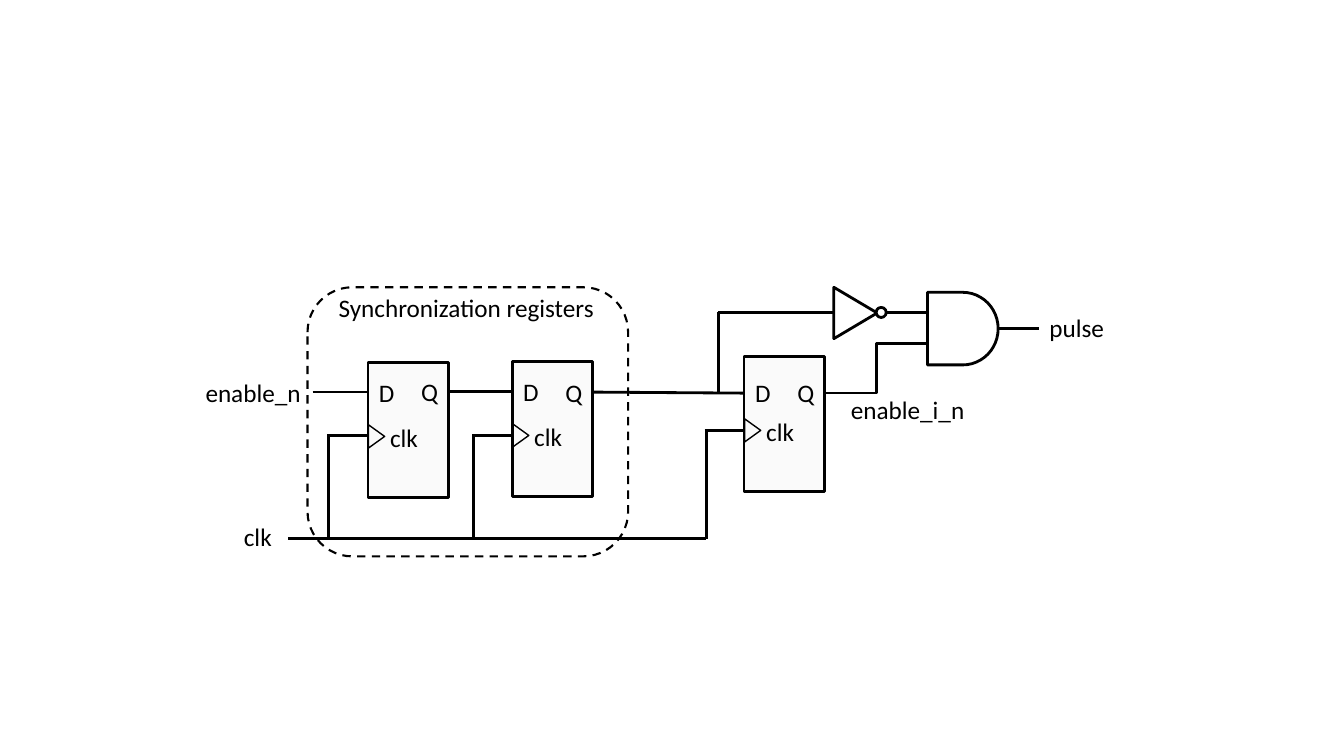
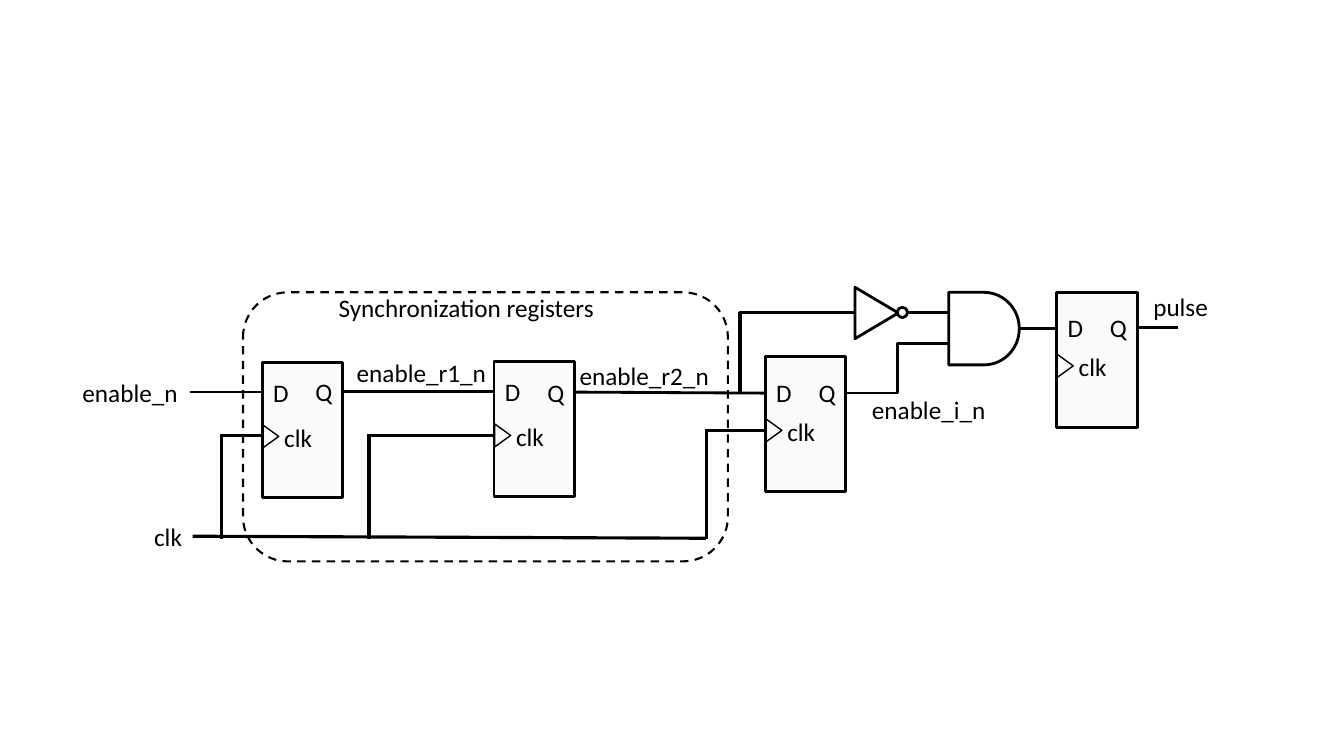
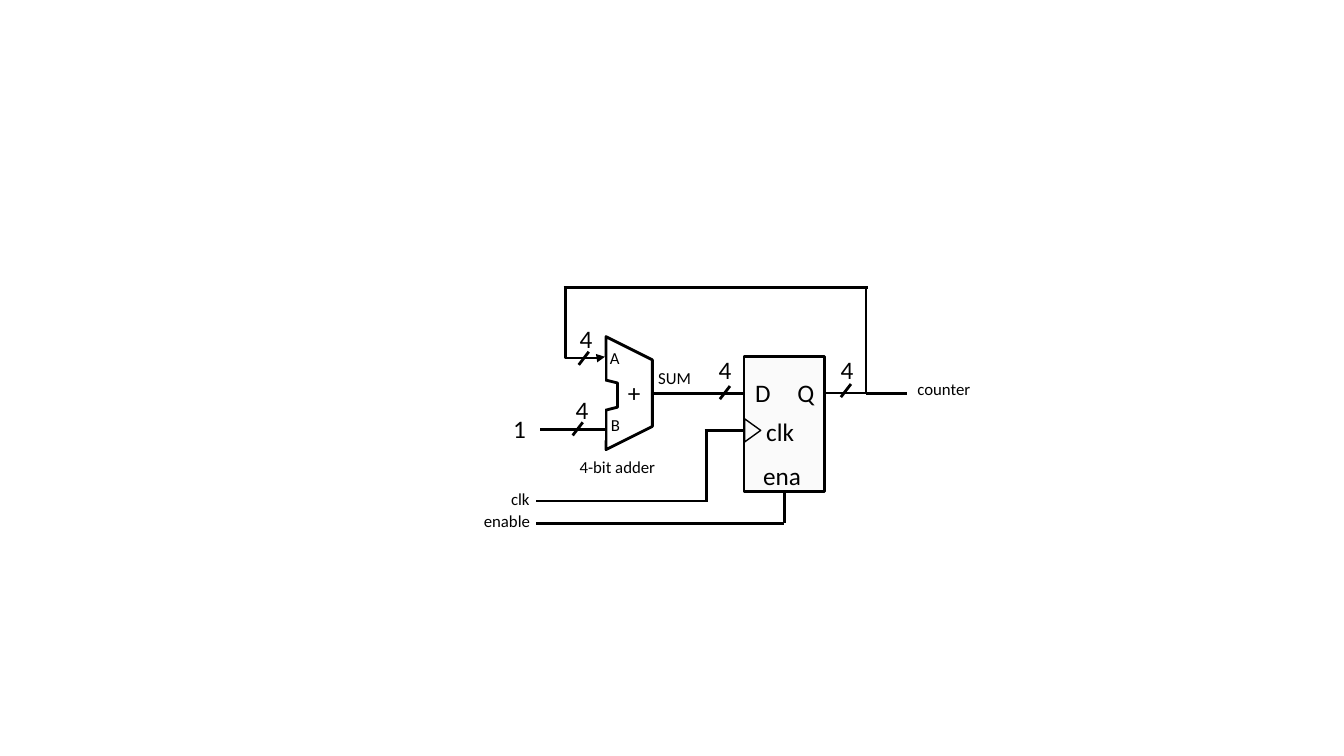
import pptx
import pptx.util
import pptx.dml.color
import pptx.enum.dml
import pptx.enum.shapes
import pptx.enum.text
import lxml.etree

SCALE = 9144
FONT = "Calibri"
INK = "000000"
PAPER = "FFFFFF"
PANEL = "FAFAFA"
REG_W, REG_H = 80, 134
KIND = pptx.enum.shapes.MSO_SHAPE
LINK = pptx.enum.shapes.MSO_CONNECTOR


def px(*vals):
    return [pptx.util.Emu(val * SCALE) for val in vals]


def hue(code):
    return pptx.dml.color.RGBColor.from_string(code)


def child(node, tag, **attrs):
    return lxml.etree.SubElement(node, pptx.oxml.ns.qn(tag), attrs)


def shape(shapes, kind, box, fill=None, width=2, turn=0):
    item = shapes.add_shape(kind, *px(*box))
    item.shadow.inherit = False
    item.rotation = turn
    if fill:
        item.fill.solid()
        item.fill.fore_color.rgb = hue(fill)
    else:
        item.fill.background()
    if width:
        item.line.color.rgb = hue(INK)
        item.line.width = pptx.util.Pt(width)
    else:
        item.line.fill.background()
    return item


def label(slide, x, y, w, text, size=18, wrap=True):
    box = slide.shapes.add_textbox(*px(x, y, w, 40 if size == 18 else 30))
    frame = box.text_frame
    frame.word_wrap = wrap
    frame.auto_size = pptx.enum.text.MSO_AUTO_SIZE.SHAPE_TO_FIT_TEXT
    frame.text = text
    font = frame.paragraphs[0].runs[0].font
    font.name = FONT
    font.size = pptx.util.Pt(size)
    font.color.rgb = hue(INK)


def wire(slide, x1, y1, x2, y2, width=2, kind=LINK.STRAIGHT):
    line = slide.shapes.add_connector(kind, *px(x1, y1, x2, y2))
    line.line.color.rgb = hue(INK)
    line.line.width = pptx.util.Pt(width)
    child(line._element.spPr, "a:effectLst")
    return line


def clocked(slide, x, y, d_drop=15, q_drop=15):
    body = shape(slide.shapes, KIND.RECTANGLE, (x, y, REG_W, REG_H), PANEL)
    label(slide, x + 43, y + q_drop, 37, "Q")
    label(slide, x + 12, y + 54, 48, "clk")
    label(slide, x + 1, y + d_drop, 36, "D")
    shape(slide.shapes, KIND.ISOSCELES_TRIANGLE, (x - 3, y + 65, 23, 16), width=1, turn=90)
    return body


def edge(slide, x, y):
    clocked(slide, x, y)
    wire(slide, x - 25, y - 44, x - 25, y + 35, 2.25)
    wire(slide, x - 26, y - 44, x + 89, y - 44)
    gate = shape(slide.shapes, KIND.FLOWCHART_DELAY, (x + 182, y - 64, 70, 72), PAPER)
    wire(slide, x + REG_W, y + 36, x + 182, y - 13, kind=LINK.ELBOW)
    shape(slide.shapes, KIND.ISOSCELES_TRIANGLE, (x + 85, y - 65, 51, 43), PAPER, turn=90)
    shape(slide.shapes, KIND.OVAL, (x + 131, y - 49, 10, 10), PAPER)
    wire(slide, x + 141, y - 44, x + 182, y - 44)
    wire(slide, x + 252, y - 28, x + 293, y - 28).begin_connect(gate, 3)
    label(slide, x + 96, y + 32, 134, "enable_i_n", wrap=False)


def sync(slide, frame, regs, taps, last, name_x, clk_x, bus):
    first, second = regs
    clocked(slide, first, 360, 9, 8)
    clocked(slide, second, 359, 9, 10)
    label(slide, name_x, 369, 116, "enable_n", wrap=False)
    wire(slide, name_x + 116, 389, first, 389)
    wire(slide, first + REG_W, 388, second, 388)
    wire(slide, second + REG_W, 389, last, 390)
    for tap, reg in zip(taps, regs):
        wire(slide, tap, 431, tap, 535, 2.25)
        wire(slide, tap, 432, reg, 432)
    wire(slide, 701, 426, 701, 535, 2.25)
    wire(slide, 699, 427, last, 427)
    wire(slide, 700, 534, *bus, 2.25)
    label(slide, clk_x, 512, 48, "clk")
    outline = shape(slide.shapes, KIND.ROUNDED_RECTANGLE, frame, width=1.5)
    outline.line.dash_style = pptx.enum.dml.MSO_LINE.DASH
    label(slide, 326, 285, 276, "Synchronization registers", wrap=False)


def adder(slide, x, y):
    parts = slide.shapes.add_group_shape().shapes
    body = shape(parts, KIND.TRAPEZOID, (x - 32, y + 33, 112, 46), PAPER, turn=90)
    body.adjustments[0] = 0.5
    shape(parts, KIND.TRAPEZOID, (x - 13, y + 49, 33, 18), PAPER, turn=90)
    shape(parts, KIND.RECTANGLE, (x - 20, y + 20, 20, 83), PAPER, 0)
    label(slide, x + 13, y + 35, 36, "+")
    label(slide, x - 5, y + 6, 30, "A", 12, False)
    label(slide, x - 4, y + 73, 29, "B", 12, False)
    label(slide, x - 35, y + 114, 96, "4-bit adder", 12, False)


def loop(slide):
    out = wire(slide, 818, 390, 859, 284, kind=LINK.ELBOW)
    out._element.spPr.prstGeom.set("prst", "bentConnector2")
    wire(slide, 559, 285, 861, 285)
    back = wire(slide, 546, 339, 615, 300, kind=LINK.ELBOW)
    form = back._element.spPr
    form.xfrm.set("rot", "16200000")
    child(form.prstGeom.get_or_add_avLst(), "a:gd", name="adj1", fmla="val -1700")
    child(form.ln, "a:headEnd", type="triangle")


def pulse_slide(slide):
    edge(slide, 738, 354)
    sync(slide, (305, 285, 318, 267), (365, 508), (326, 470), 738, 194, 232, (286, 534))
    label(slide, 1031, 305, 75, "pulse", wrap=False)


def stored_slide(slide):
    edge(slide, 759, 354)
    sync(slide, (241, 290, 481, 267), (260, 490), (220, 366), 759, 72, 143, (191, 532))
    label(slide, 344, 350, 150, "enable_r1_n", wrap=False)
    label(slide, 565, 353, 150, "enable_r2_n", wrap=False)
    clocked(slide, 1048, 290)
    wire(slide, 1048 + REG_W, 325, 1168, 325)
    label(slide, 1134, 284, 75, "pulse", wrap=False)


def count_slide(slide):
    reg = clocked(slide, 738, 354)
    label(slide, 747, 452, 59, "ena")
    adder(slide, 600, 334)
    loop(slide)
    wire(slide, 648, 390, 738, 390)
    wire(slide, 699, 427, 738, 427)
    wire(slide, 536, 426, 601, 426)
    wire(slide, 859, 390, 900, 390)
    wire(slide, 701, 498, 701, 426)
    wire(slide, 532, 497, 701, 497)
    wire(slide, 532, 519, 778, 519)
    wire(slide, 778, 519, 778, 488).end_connect(reg, 2)
    for x, y in ((574, 362), (568, 432), (834, 394), (714, 396)):
        wire(slide, x, y, x + 10, y - 13)
    for x, y in ((703, 347), (824, 347), (565, 316), (561, 386)):
        label(slide, x, y, 36, "4")
    label(slide, 499, 405, 33, "1", wrap=False)
    label(slide, 643, 360, 53, "SUM", 12, False)
    for x, y, text in ((900, 371, "counter"), (470, 502, "enable"), (497, 480, "clk")):
        label(slide, x, y, 105, text, 12)


def main():
    deck = pptx.Presentation()
    deck.slide_width, deck.slide_height = px(1333, 750)
    for draw in (pulse_slide, stored_slide, count_slide):
        draw(deck.slides.add_slide(deck.slide_layouts[6]))
    deck.save("out.pptx")


if __name__ == "__main__":
    main()
